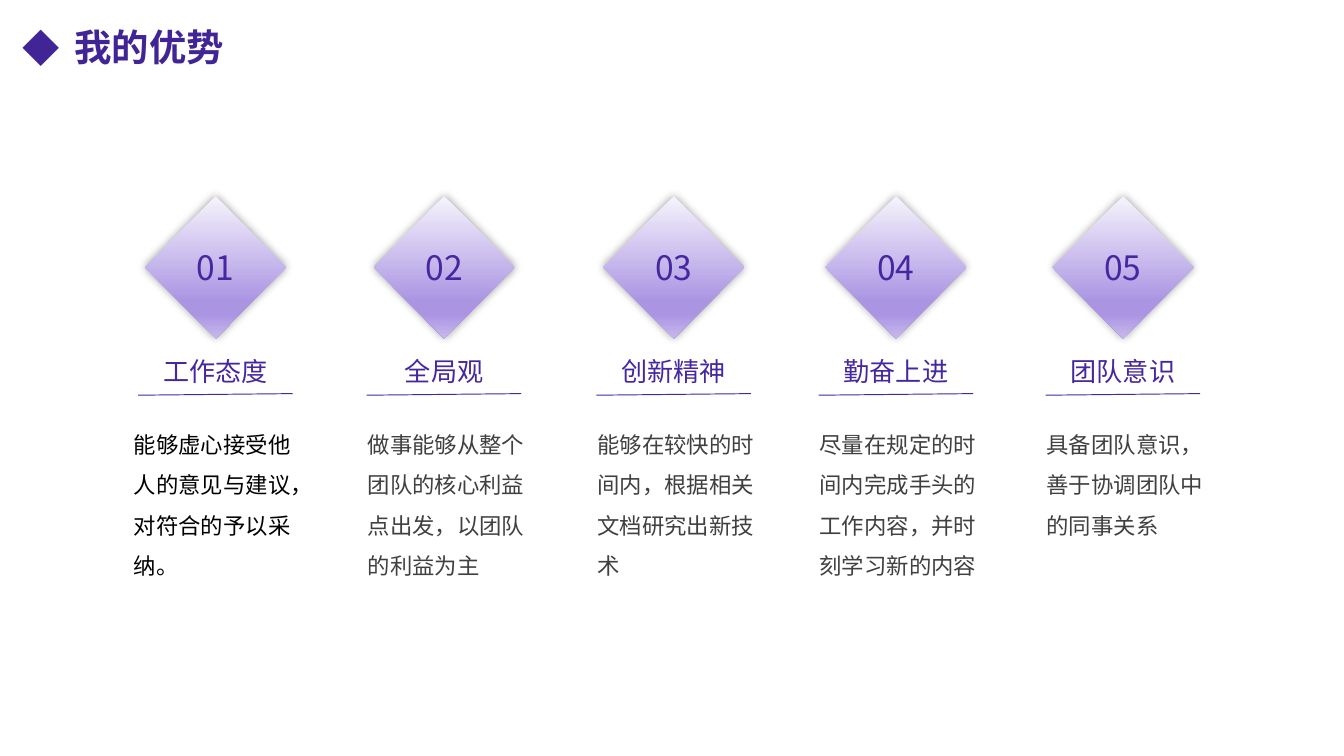
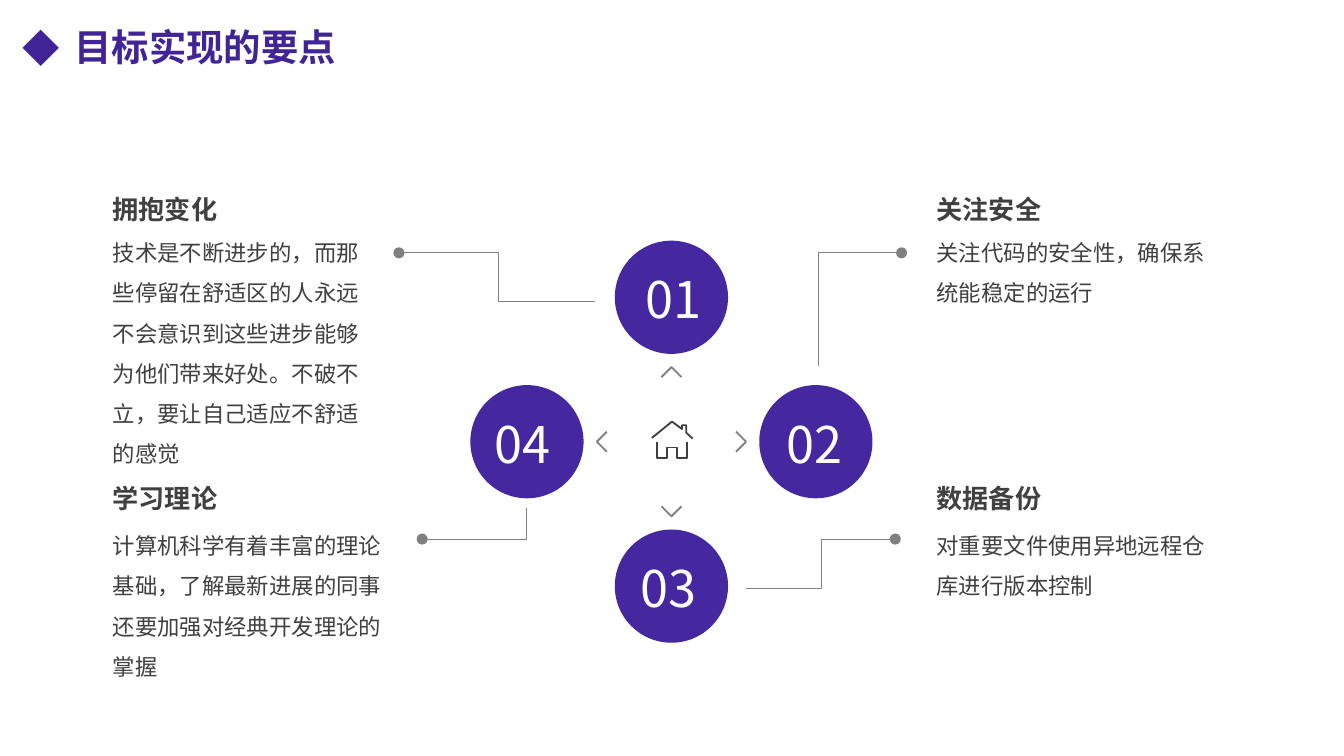
"""Build two slides: personal strengths and the points that lead to a goal."""
from lxml.etree import SubElement
from pptx import Presentation
from pptx.dml.color import RGBColor
from pptx.enum.shapes import MSO_CONNECTOR as Link, MSO_SHAPE as Shape
from pptx.enum.text import MSO_ANCHOR as Anchor, MSO_AUTO_SIZE as AutoSize, PP_ALIGN as Align
from pptx.oxml.ns import qn
from pptx.util import Cm, Pt

COLORS = {
    "title": "412597",
    "purple": "45279F",
    "text": "404040",
    "line": "808080",
    "white": "FFFFFF",
    "black": "000000",
}
DIAMOND_STOPS = [(0, "F6F3FC"), (74, "AB95E3"), (83, "AB95E3"), (100, "C7B8EC")]
FONT = "Noto Sans CJK SC"
ALT_FONT = "Lato"
TITLE_ONLY = 5

STRENGTHS = [
    (2.74, "工作态度", "能够虚心接受他人的意见与建议，对符合的予以采纳。"),
    (7.06, "全局观", "做事能够从整个团队的核心利益点出发，以团队的利益为主"),
    (11.4, "创新精神", "能够在较快的时间内，根据相关文档研究出新技术"),
    (15.6, "勤奋上进", "尽量在规定的时间内完成手头的工作内容，并时刻学习新的内容"),
    (19.89, "团队意识", "具备团队意识，善于协调团队中的同事关系"),
]
POINTS = [
    (1.88, 3.23, 4.14, 5.28, 4.88, "拥抱变化",
     "技术是不断进步的，而那些停留在舒适区的人永远不会意识到这些进步能够为他们带来好处。"
     "不破不立，要让自己适应不舒适的感觉"),
    (17.45, 3.23, 4.14, 5.98, 1.8, "关注安全", "关注代码的安全性，确保系统能稳定的运行"),
    (17.45, 8.69, 9.68, 5.98, 1.8, "数据备份", "对重要文件使用异地远程仓库进行版本控制"),
    (1.88, 8.69, 9.68, 5.69, 3.33, "学习理论",
     "计算机科学有着丰富的理论基础，了解最新进展的同事还要加强对经典开发理论的掌握"),
]
LEADERS = [
    [(11.25, 5.7), (9.42, 5.7), (9.42, 4.78), (7.54, 4.78)],
    [(15.47, 6.91), (15.47, 4.78), (17.04, 4.78)],
    [(14.1, 11.12), (15.52, 11.12), (15.52, 10.19), (16.92, 10.19)],
    [(9.96, 9.6), (9.96, 10.19), (7.98, 10.19)],
]
ROOF = [(13.09, 8.29), (12.97, 8.18), (12.97, 8.04), (12.89, 8.04),
        (12.89, 8.11), (12.7, 7.97), (12.32, 8.28)]
WALLS = [(12.42, 8.36), (12.42, 8.66), (12.6, 8.66), (12.6, 8.46),
         (12.8, 8.46), (12.8, 8.66), (12.98, 8.66), (12.98, 8.36)]
CENTER_X, CENTER_Y = 12.69, 8.35
DIRECTIONS = [(0, -1, 0.03), (1, 0, -0.03), (0, 1, -0.05), (-1, 0, -0.08)]


def rgb(name):
    """Return the named colour."""
    return RGBColor.from_string(COLORS[name])


def write(frame, text, size=12, color="text", bold=False, align=Align.LEFT,
          spacing=1.0, font=FONT, anchor=Anchor.TOP):
    """Fill a text frame with one formatted paragraph and return it."""
    frame.word_wrap = True
    frame.vertical_anchor = anchor
    para = frame.paragraphs[0]
    para.alignment = align
    para.line_spacing = spacing
    span = para.add_run()
    span.text = text
    span.font.size = Pt(size)
    span.font.bold = bold
    span.font.color.rgb = rgb(color)
    span.font.name = font
    SubElement(span.font._element, qn("a:ea"), typeface=ALT_FONT)
    return para


class Deck:
    """Hold the presentation, its style and the current slide."""

    def __init__(self):
        """Start an empty deck of the right size."""
        self.deck = Presentation()
        self.deck.slide_width, self.deck.slide_height = Cm(25.4), Cm(14.29)
        self.page = None

    def add_page(self, title):
        """Add a slide with a diamond-bulleted title."""
        self.page = self.deck.slides.add_slide(self.deck.slide_layouts[TITLE_ONLY])
        box = self.page.shapes.title
        box.left, box.top, box.width, box.height = Cm(0.18), Cm(0.33), Cm(10.59), Cm(1.12)
        box.text_frame.auto_size = AutoSize.NONE
        para = write(box.text_frame, title, size=20, color="title", bold=True)
        props = para._p.get_or_add_pPr()
        props.set("marL", str(Cm(0.97)))
        props.set("indent", str(-Cm(0.97)))
        SubElement(props, qn("a:buFont"), typeface=FONT)
        SubElement(props, qn("a:buChar"), char="◆")

    def add_text(self, left, top, width, height, text, **style):
        """Add a text box that grows with its text."""
        box = self.page.shapes.add_textbox(Cm(left), Cm(top), Cm(width), Cm(height))
        write(box.text_frame, text, **style)
        box.text_frame.auto_size = AutoSize.SHAPE_TO_FIT_TEXT

    def add_shape(self, kind, left, top, width, height):
        """Add a purple preset shape without outline or shadow."""
        shape = self.page.shapes.add_shape(kind, Cm(left), Cm(top), Cm(width), Cm(height))
        shape.shadow.inherit = False
        shape.fill.solid()
        shape.fill.fore_color.rgb = rgb("purple")
        shape.line.fill.background()
        return shape

    def add_diamond(self, left, top, text):
        """Add a numbered diamond with a gradient and a soft shadow."""
        shape = self.add_shape(Shape.DIAMOND, left, top, 2.67, 2.69)
        shape.fill.gradient()
        shape.fill.gradient_angle = 270
        props = shape._element.spPr
        stops = props.find(".//" + qn("a:gsLst"))
        for stop in list(stops):
            stops.remove(stop)
        for position, color in DIAMOND_STOPS:
            stop = SubElement(stops, qn("a:gs"), pos=str(position * 1000))
            SubElement(stop, qn("a:srgbClr"), val=color)
        shadow = SubElement(props.find(qn("a:effectLst")), qn("a:outerShdw"),
                            blurRad=str(Pt(5)), dist="0", dir="0", algn="ctr")
        tint = SubElement(shadow, qn("a:srgbClr"), val=COLORS["black"])
        SubElement(tint, qn("a:alpha"), val="40000")
        write(shape.text_frame, text, size=18, color="purple",
              align=Align.CENTER, anchor=Anchor.MIDDLE)

    def add_line(self, x1, y1, x2, y2):
        """Add a thin purple line."""
        line = self.page.shapes.add_connector(Link.STRAIGHT, Cm(x1), Cm(y1), Cm(x2), Cm(y2))
        line.line.color.rgb = rgb("purple")
        line.line.width = Pt(0.5)
        SubElement(line._element.spPr, qn("a:effectLst"))

    def add_outline(self, points, color="line", width=1, dot=False):
        """Add an open polyline, with a dot at its end if wanted."""
        corners = [(Cm(x), Cm(y)) for x, y in points]
        builder = self.page.shapes.build_freeform(*corners[0])
        builder.add_line_segments(corners[1:], close=False)
        shape = builder.convert_to_shape()
        shape.shadow.inherit = False
        shape.fill.background()
        shape.line.color.rgb = rgb(color)
        shape.line.width = Pt(width)
        if dot:
            SubElement(shape.line._get_or_add_ln(), qn("a:tailEnd"), type="oval")

    def save(self):
        """Write the file."""
        self.deck.save("out.pptx")


def build_strengths(deck):
    """Build the slide with five strengths."""
    deck.add_page("我的优势")
    for number, (left, label, detail) in enumerate(STRENGTHS, 1):
        first = number == 1
        deck.add_text(left - (0.46 if first else 0.36), 7.77, 3.58, 3.33, detail,
                      spacing=1.5, color="black" if first else "text",
                      font=ALT_FONT if first else FONT)
        deck.add_diamond(left, 3.71, f"{number:02}")
        deck.add_text(left - 0.1, 6.6, 2.87, 0.86, label, size=14, color="purple",
                      align=Align.CENTER)
        deck.add_line(left - 0.13, 7.47, left + 2.79, 7.44)


def build_points(deck):
    """Build the slide with four points around a house."""
    deck.add_page("目标实现的要点")
    for leader in LEADERS:
        deck.add_outline(leader, width=0.5, dot=True)
    for outline in (ROOF, WALLS):
        deck.add_outline(outline, color="text")
    for left, top, body_top, width, height, heading, detail in POINTS:
        deck.add_text(left, top, 6.3, 1.04, heading, size=14, bold=True, spacing=1.5)
        deck.add_text(left, body_top, width, height, detail, spacing=1.5)
    for number, (dx, dy, nudge) in enumerate(DIRECTIONS, 1):
        base_x, base_y = CENTER_X + dx * 1.22, CENTER_Y + dy * 1.22
        deck.add_outline([
            (base_x + dy * 0.19, base_y - dx * 0.19),
            (CENTER_X + dx * 1.41, CENTER_Y + dy * 1.41),
            (base_x - dy * 0.19, base_y + dx * 0.19),
        ])
        left, top = CENTER_X + dx * 2.73 - 1.07, CENTER_Y + dy * 2.73 - 1.07
        deck.add_shape(Shape.OVAL, left, top, 2.14, 2.14)
        deck.add_text(left + nudge, top + 0.4, 2.14, 1.42, f"{number:02}", size=27,
                      color="white", align=Align.CENTER)


def main():
    """Build and save the deck."""
    deck = Deck()
    build_strengths(deck)
    build_points(deck)
    deck.save()


if __name__ == "__main__":
    main()
